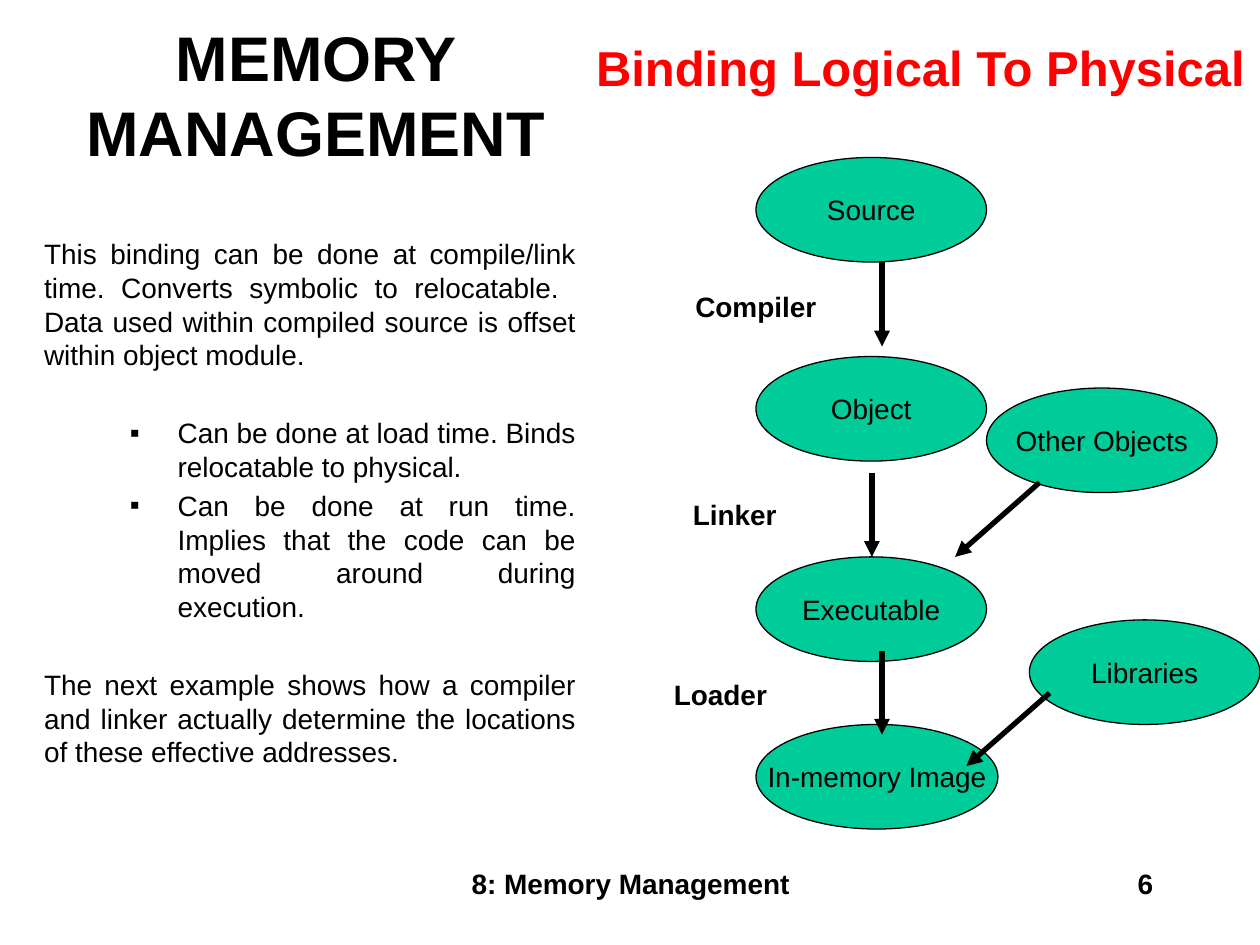
from dataclasses import dataclass

from lxml.etree import SubElement
from pptx import Presentation
from pptx.dml.color import RGBColor
from pptx.enum.shapes import MSO_CONNECTOR as Connector, MSO_SHAPE as Shape
from pptx.enum.text import MSO_ANCHOR as Anchor, MSO_AUTO_SIZE as AutoSize, PP_ALIGN as Align
from pptx.oxml.ns import qn
from pptx.util import Inches, Pt

TITLE = ("MEMORY MANAGEMENT", (0.42, 0.33, 4.17, 0.83))
HEADING = ("Binding Logical To Physical", (4.61, 0.25, 5.39, 0.57))
FOOTER = ("8: Memory Management", (3.42, 6.83, 3.17, 0.5))
PAGE_NUMBER = ("6", (7.17, 6.83, 2.08, 0.5))

# Text, is a bullet, opens a new block
EXPLANATION = [
    ("This binding can be done at compile/link time. Converts symbolic to relocatable.  "
     "Data used within compiled source is offset within object module.", False, False),
    ("Can be done at load time. Binds relocatable to physical.", True, True),
    ("Can be done at run time. Implies that the code can be moved around during execution.",
     True, False),
    ("The next example shows how a compiler and linker actually determine the locations "
     "of these effective addresses.", False, True),
]
EXPLANATION_BOX = (0.25, 1.83, 4.42, 4.5)

# Text, left, top, width
STAGES = [
    ("Source", 6, 1.25, 1.83),
    ("Object", 6, 2.83, 1.83),
    ("Executable", 6, 4.42, 1.83),
    ("In-memory Image", 6, 5.75, 1.92),
    ("Other Objects", 7.83, 3.08, 1.83),
    ("Libraries", 8.17, 4.92, 1.83),
]
STAGE_HEIGHT = 0.83
TOOLS = [
    ("Compiler", (5.42, 2.25, 1.16, 0.37)),
    ("Linker", (5.4, 3.9, 0.87, 0.37)),
    ("Loader", (5.25, 5.33, 0.94, 0.37)),
]
# Start x, start y, end x, end y
FLOWS = [
    (7, 2.08, 7, 2.75),
    (6.92, 3.75, 6.92, 4.42),
    (7, 5.17, 7, 5.83),
    (8.25, 3.83, 7.58, 4.42),
    (8.33, 5.5, 7.67, 6.08),
]


@dataclass(frozen=True)
class Theme:
    """Colours, font and type sizes of the slide."""
    ink: RGBColor = RGBColor(0, 0, 0)
    accent: RGBColor = RGBColor(0xFF, 0, 0)
    stage: RGBColor = RGBColor(0, 0xCC, 0x99)
    face: str = "Arial"
    title: Pt = Pt(36)
    heading: Pt = Pt(28)
    text: Pt = Pt(16)
    outline: Pt = Pt(0.75)
    arrow: Pt = Pt(3)
    item_gap: Pt = Pt(3.2)
    block_gap: Pt = Pt(25.5)


THEME = Theme()


def inches(values):
    """Turn plain numbers into lengths."""
    return [Inches(value) for value in values]


def place(shape, box):
    """Move a placeholder to the given box."""
    shape.left, shape.top, shape.width, shape.height = inches(box)


def style(paragraph, align, size=THEME.text, color=THEME.ink, bold=False):
    """Set the alignment and font of a paragraph."""
    paragraph.alignment = align
    font = paragraph.font
    font.name, font.size, font.bold = THEME.face, size, bold
    font.color.rgb = color


def add_label(slide, text, box, align=Align.LEFT, size=THEME.text, color=THEME.ink, wrap=True):
    """Add a bold line of text."""
    frame = slide.shapes.add_textbox(*inches(box)).text_frame
    frame.word_wrap = wrap
    frame.text = text
    style(frame.paragraphs[0], align, size, color, bold=True)


def add_stage(slide, text, left, top, width):
    """Add one oval of the binding chain."""
    oval = slide.shapes.add_shape(Shape.OVAL, *inches((left, top, width, STAGE_HEIGHT)))
    oval.shadow.inherit = False
    oval.fill.solid()
    oval.fill.fore_color.rgb = THEME.stage
    oval.line.color.rgb = THEME.ink
    oval.line.width = THEME.outline
    frame = oval.text_frame
    frame.word_wrap = False
    frame.vertical_anchor = Anchor.MIDDLE
    frame.text = text
    style(frame.paragraphs[0], Align.CENTER)


def add_flow(slide, ends):
    """Add an arrow between two points."""
    arrow = slide.shapes.add_connector(Connector.STRAIGHT, *inches(ends))
    arrow.line.color.rgb = THEME.ink
    arrow.line.width = THEME.arrow
    SubElement(arrow.line._get_or_add_ln(), qn("a:tailEnd"), type="triangle")
    SubElement(arrow._element.spPr, qn("a:effectLst"))


def set_bullet(paragraph, bullet):
    """Give a paragraph a square bullet with a hanging indent, or no bullet at all."""
    left, hanging = (1.06, -0.38) if bullet else (0, 0)
    properties = paragraph._p.get_or_add_pPr()
    properties.set("marL", str(Inches(left)))
    properties.set("indent", str(Inches(hanging)))
    if bullet:
        SubElement(properties, qn("a:buFont"), typeface=THEME.face)
        SubElement(properties, qn("a:buChar"), char="▪")
    else:
        SubElement(properties, qn("a:buNone"))


def fill_title(slide):
    """Write the title placeholder."""
    text, box = TITLE
    title = slide.shapes.title
    place(title, box)
    frame = title.text_frame
    frame.text = text
    frame.word_wrap = True
    frame.auto_size = AutoSize.NONE
    frame.vertical_anchor = Anchor.MIDDLE
    style(frame.paragraphs[0], Align.CENTER, THEME.title, bold=True)


def fill_explanation(slide):
    """Write the body placeholder."""
    body = slide.placeholders[1]
    place(body, EXPLANATION_BOX)
    frame = body.text_frame
    frame.text = "\n".join(text for text, _, _ in EXPLANATION)
    frame.auto_size = AutoSize.NONE
    for paragraph, (_, bullet, new_block) in zip(frame.paragraphs, EXPLANATION):
        paragraph.level = int(bullet)
        paragraph.space_before = THEME.block_gap if new_block else THEME.item_gap
        set_bullet(paragraph, bullet)
        style(paragraph, Align.JUSTIFY)


def build():
    """Build the slide and save it."""
    deck = Presentation()
    deck.slide_width, deck.slide_height = Inches(10), Inches(7.5)
    slide = deck.slides.add_slide(deck.slide_layouts[1])
    fill_title(slide)
    fill_explanation(slide)
    add_label(slide, *HEADING, Align.CENTER, THEME.heading, THEME.accent)
    for stage in STAGES:
        add_stage(slide, *stage)
    for ends in FLOWS:
        add_flow(slide, ends)
    for tool, box in TOOLS:
        add_label(slide, tool, box, wrap=False)
    add_label(slide, *FOOTER, Align.CENTER)
    add_label(slide, *PAGE_NUMBER, Align.RIGHT)
    deck.save("out.pptx")


build()
